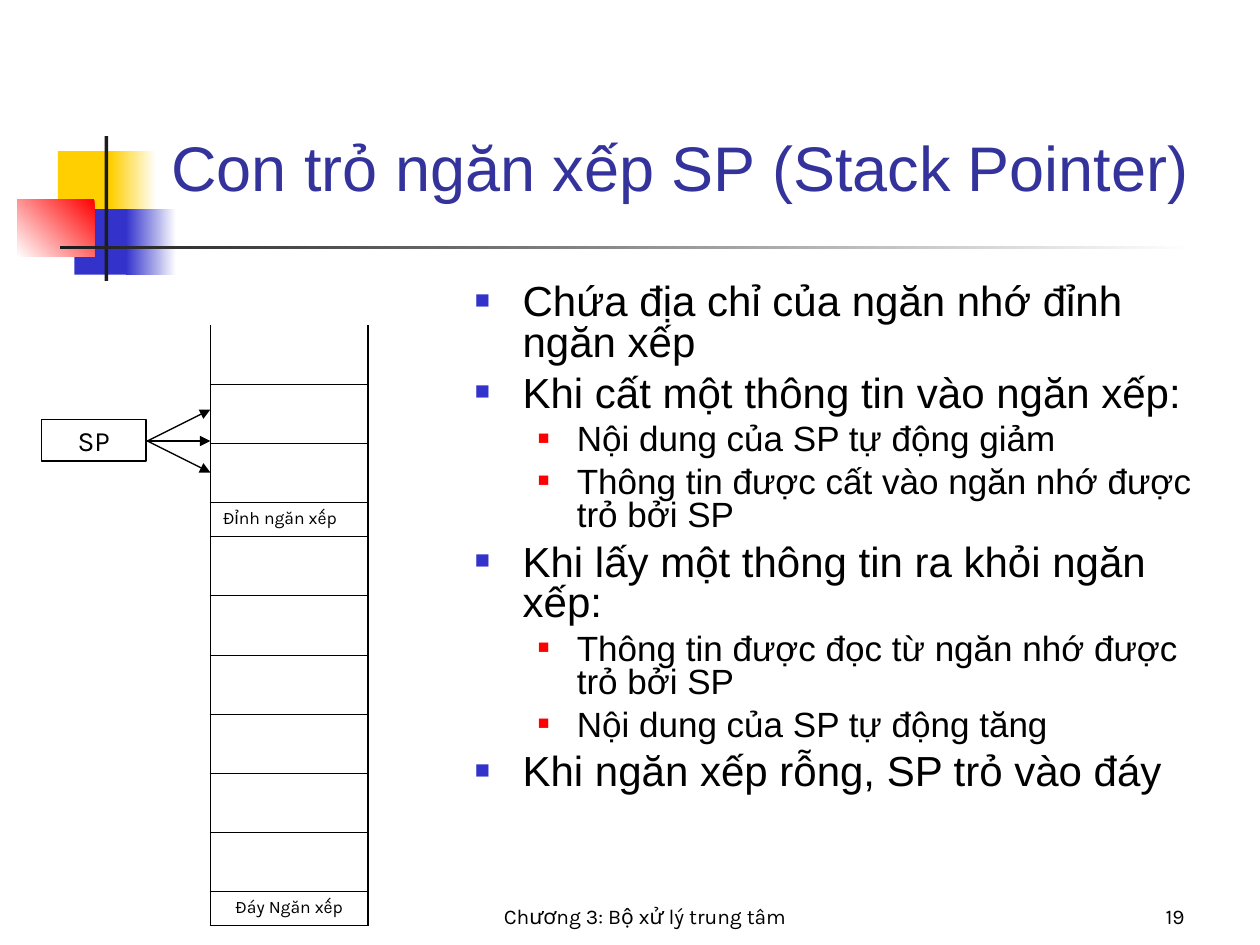
from dataclasses import dataclass

from lxml.etree import SubElement
from pptx import Presentation
from pptx.dml.color import RGBColor
from pptx.enum.shapes import MSO_CONNECTOR, MSO_SHAPE
from pptx.enum.text import MSO_ANCHOR as Anchor, MSO_AUTO_SIZE as AutoSize, PP_ALIGN as Align
from pptx.oxml import parse_xml
from pptx.oxml.ns import nsdecls, qn
from pptx.util import Inches, Pt


@dataclass(frozen=True)
class Theme:
    black: str = "000000"
    white: str = "FFFFFF"
    dark: str = "1C1C1C"
    yellow: str = "FFCF01"
    blue: str = "3333CC"
    red: str = "FF0000"
    title: str = "33339B"
    heading_font: str = "Arial"
    label_font: str = "Karla"
    title_size: int = 36
    point_size: int = 24
    detail_size: int = 20
    pointer_size: int = 16
    footer_size: int = 12
    cell_size: int = 10
    line: float = 0.75
    inner_border: float = 0.45
    outer_border: float = 1.08


THEME = Theme()

# left, top, width, height, colours from gradient start to end, clockwise angle
ORNAMENTS = [
    (0.46, 1.2, 0.48, 0.52, [THEME.yellow], 0),
    (0.88, 1.2, 0.36, 0.52, [THEME.white, THEME.yellow], 180),
    (0.59, 1.66, 0.46, 0.52, [THEME.blue], 0),
    (1, 1.66, 0.4, 0.52, [THEME.white, THEME.blue], 180),
    (0.14, 1.58, 0.61, 0.46, [THEME.red, THEME.white], 135),
    (0.83, 1.08, 0.03, 1.15, [THEME.dark], 0),
    (0.48, 1.95, 9, 0.03, [THEME.white, THEME.dark], 180),
]

POINTS = [
    (0, "Chứa địa chỉ của ngăn nhớ đỉnh ngăn xếp"),
    (0, "Khi cất một thông tin vào ngăn xếp:"),
    (1, "Nội dung của SP tự động giảm"),
    (1, "Thông tin được cất vào ngăn nhớ được trỏ bởi SP"),
    (0, "Khi lấy một thông tin ra khỏi ngăn xếp:"),
    (1, "Thông tin được đọc từ ngăn nhớ được trỏ bởi SP"),
    (1, "Nội dung của SP tự động tăng"),
    (0, "Khi ngăn xếp rỗng, SP trỏ vào đáy"),
]

# size, space before, left indent, hanging indent, bullet colour, bullet percent
LEVELS = [
    (THEME.point_size, 6, 0.38, 0.38, THEME.blue, 60),
    (THEME.detail_size, 5, 0.81, 0.31, THEME.red, 55),
]

STACK_ROWS = 11
STACK_LABELS = {3: ("Đỉnh ngăn xếp", Align.LEFT), 10: ("Đáy Ngăn xếp", Align.CENTER)}


def rgb(value):
    return RGBColor.from_string(value)


def write(para, text, *, size, font=THEME.label_font, color=THEME.black, align=Align.LEFT):
    para.alignment = align
    span = para.add_run()
    span.text = text
    span.font.size = Pt(size)
    span.font.name = font
    span.font.color.rgb = rgb(color)


def place(box, left, top, width, height):
    box.left, box.top = Inches(left), Inches(top)
    box.width, box.height = Inches(width), Inches(height)


def add_box(page, left, top, width, height, anchor=Anchor.TOP):
    box = page.shapes.add_textbox(Inches(left), Inches(top), Inches(width), Inches(height))
    box.text_frame.word_wrap = True
    box.text_frame.vertical_anchor = anchor
    return box.text_frame


def add_rectangle(page, left, top, width, height, colors, angle=0):
    """Add an unlined rectangle: one colour is solid, two are a gradient."""
    shape = page.shapes.add_shape(MSO_SHAPE.RECTANGLE, 0, 0, 0, 0)
    place(shape, left, top, width, height)
    shape.shadow.inherit = False
    shape.line.fill.background()
    if len(colors) == 1:
        shape.fill.solid()
        shape.fill.fore_color.rgb = rgb(colors[0])
    else:
        shape.fill.gradient()
        shape.fill.gradient_angle = 360 - angle
        for stop, color in zip(shape.fill.gradient_stops, colors):
            stop.color.rgb = rgb(color)
    return shape


def add_arrow(page, start, end):
    ends = [Inches(value) for value in (*start, *end)]
    arrow = page.shapes.add_connector(MSO_CONNECTOR.STRAIGHT, *ends)
    arrow.line.color.rgb = rgb(THEME.black)
    arrow.line.width = Pt(THEME.line)
    SubElement(arrow.line._get_or_add_ln(), qn("a:tailEnd"), type="triangle")
    SubElement(arrow._element.spPr, qn("a:effectLst"))


def add_title(page, text):
    title = page.shapes.title
    place(title, 1.26, 1, 8.52, 0.67)
    frame = title.text_frame
    frame.auto_size = AutoSize.NONE
    frame.vertical_anchor = Anchor.BOTTOM
    write(frame.paragraphs[0], text, size=THEME.title_size,
          font=THEME.heading_font, color=THEME.title)


def set_bullet(para, left, hanging, color, percent):
    props = para._p.get_or_add_pPr()
    props.set("marL", str(Inches(left)))
    props.set("indent", str(-Inches(hanging)))
    SubElement(SubElement(props, qn("a:buClr")), qn("a:srgbClr"), val=color)
    SubElement(props, qn("a:buSzPct"), val=str(percent * 1000))
    SubElement(props, qn("a:buFont"), typeface=THEME.heading_font)
    SubElement(props, qn("a:buChar"), char="■")


def add_points(page):
    frame = add_box(page, 3.67, 2.21, 6.13, 4.5)
    for index, (level, text) in enumerate(POINTS):
        size, before, *bullet = LEVELS[level]
        para = frame.add_paragraph() if index else frame.paragraphs[0]
        para.level = level
        para.line_spacing = 0.8
        para.space_before = Pt(before)
        write(para, text, size=size, font=THEME.heading_font)
        set_bullet(para, *bullet)


def set_borders(cell, **widths):
    """Set borders by side letter, in the order L, R, T, B; zero hides one."""
    props = cell._tc.get_or_add_tcPr()
    for index, (side, width) in enumerate(widths.items()):
        fill = f'<a:solidFill><a:srgbClr val="{THEME.black}"/></a:solidFill>' if width else "<a:noFill/>"
        props.insert(index, parse_xml(
            f'<a:ln{side} {nsdecls("a")} w="{Pt(width)}">{fill}</a:ln{side}>'))


def add_stack(page):
    table = page.shapes.add_table(STACK_ROWS, 1, Inches(1.67), Inches(2.58),
                                  Inches(1.25), Inches(4.77)).table
    table.first_row = table.horz_banding = False
    last = STACK_ROWS - 1
    outer, inner = THEME.outer_border, THEME.inner_border
    for index, row in enumerate(table.rows):
        row.height = Inches(0.27 if index in STACK_LABELS else 0.47)
        cell = row.cells[0]
        cell.fill.background()
        set_borders(cell, L=outer, R=outer, T=inner if index else 0,
                    B=outer if index == last else inner)
        if index in STACK_LABELS:
            text, align = STACK_LABELS[index]
            para = cell.text_frame.paragraphs[0]
            para.space_before = Pt(2.5)
            write(para, text, size=THEME.cell_size, align=align)


def add_pointer(page):
    add_arrow(page, (1.08, 3.5), (1.67, 3.5))
    box = add_rectangle(page, 0.33, 3.33, 0.83, 0.33, [THEME.white])
    box.line.color.rgb = rgb(THEME.black)
    box.line.width = Pt(THEME.line)
    box.text_frame.word_wrap = False
    box.text_frame.vertical_anchor = Anchor.MIDDLE
    write(box.text_frame.paragraphs[0], "SP", size=THEME.pointer_size, align=Align.CENTER)
    for shift in (-0.25, 0.25):
        add_arrow(page, (1.17, 3.5), (1.67, 3.5 + shift))


def add_footer(page, left, width, text, align):
    frame = add_box(page, left, 6.92, width, 0.5, anchor=Anchor.BOTTOM)
    write(frame.paragraphs[0], text, size=THEME.footer_size, align=align)


def main():
    deck = Presentation()
    deck.slide_width, deck.slide_height = Inches(10), Inches(7.5)
    page = deck.slides.add_slide(deck.slide_layouts[5])
    for ornament in ORNAMENTS:
        add_rectangle(page, *ornament)
    add_title(page, "Con trỏ ngăn xếp SP (Stack Pointer)")
    add_points(page)
    add_stack(page)
    add_pointer(page)
    add_footer(page, 2.08, 6.08, "Chương 3: Bộ xử lý trung tâm", Align.CENTER)
    add_footer(page, 8.33, 1.17, "19", Align.RIGHT)
    deck.save("out.pptx")


if __name__ == "__main__":
    main()
